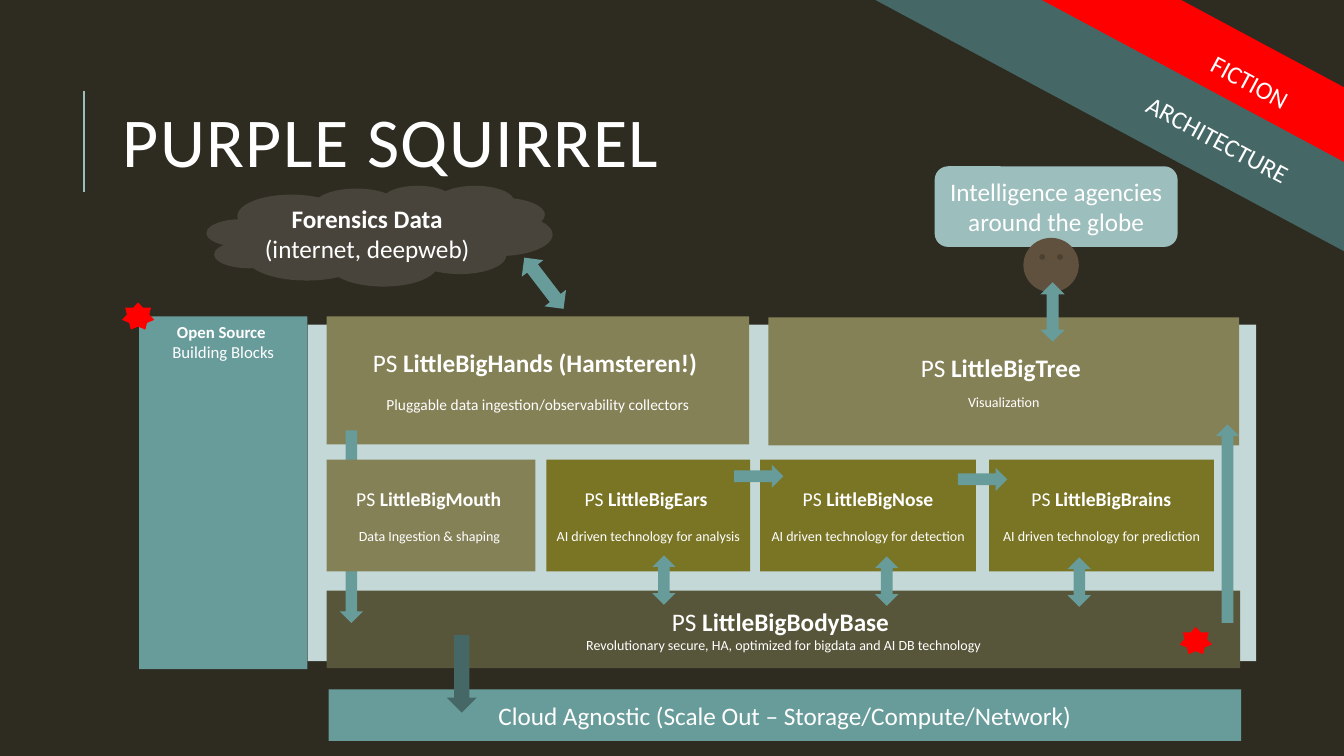
from pptx import Presentation
from pptx.dml.color import RGBColor
from pptx.enum.shapes import MSO_CONNECTOR, MSO_SHAPE
from pptx.enum.text import MSO_ANCHOR, PP_ALIGN
from pptx.oxml.ns import qn
from pptx.util import Inches, Pt
from lxml import etree

RECT = MSO_SHAPE.RECTANGLE
ROUNDED = MSO_SHAPE.ROUNDED_RECTANGLE
CLOUD = MSO_SHAPE.CLOUD
SMILEY = MSO_SHAPE.SMILEY_FACE
STAR = MSO_SHAPE.STAR_7_POINT
UP = MSO_SHAPE.UP_ARROW
DOWN = MSO_SHAPE.DOWN_ARROW
UP_DOWN = MSO_SHAPE.UP_DOWN_ARROW
STRAIGHT = MSO_CONNECTOR.STRAIGHT
CENTER = PP_ALIGN.CENTER
TOP, MIDDLE = MSO_ANCHOR.TOP, MSO_ANCHOR.MIDDLE

BACKGROUND = RGBColor(0x2E, 0x2B, 0x21)
WHITE = RGBColor(0xFF, 0xFF, 0xFF)
RED = RGBColor(0xFF, 0x00, 0x00)
PALE_TEAL = RGBColor(0xC4, 0xD8, 0xD7)
LIGHT_TEAL = RGBColor(0x9C, 0xBE, 0xBD)
TEAL = RGBColor(0x68, 0x9C, 0x9A)
DARK_TEAL = RGBColor(0x45, 0x68, 0x67)
KHAKI = RGBColor(0x85, 0x81, 0x57)
OLIVE = RGBColor(0x7A, 0x74, 0x25)
DARK_OLIVE = RGBColor(0x58, 0x56, 0x3A)
CLOUD_GREY = RGBColor(0x48, 0x44, 0x3B)
BROWN = RGBColor(0x5F, 0x51, 0x3E)
FONT = "Calibri"

ROW_TOP, ROW_HEIGHT = 4.56, 1.11
ARROW_WIDTH, ARROW_LENGTH = 0.23, 0.49


def add_run(paragraph, text, size, bold=False):
    """Append one white run to a paragraph."""
    run = paragraph.add_run()
    run.text = text
    run.font.name = FONT
    run.font.size = Pt(size)
    run.font.bold = bold
    run.font.color.rgb = WHITE
    return run


def add_block(slide, kind, box, color, rotation=0):
    """Add a flat filled shape without outline."""
    block = slide.shapes.add_shape(kind, *map(Inches, box))
    block.shadow.inherit = False
    block.fill.solid()
    block.fill.fore_color.rgb = color
    block.line.fill.background()
    block.rotation = rotation
    return block


def add_label(block, lines, gap=0, anchor=MIDDLE):
    """Write centred lines, each a list of (text, size, bold), into a block."""
    frame = block.text_frame
    frame.word_wrap = True
    frame.vertical_anchor = anchor
    for index, runs in enumerate(lines):
        paragraph = frame.add_paragraph() if index else frame.paragraphs[0]
        paragraph.alignment = CENTER
        if index:
            paragraph.space_before = Pt(gap)
        for text, size, bold in runs:
            add_run(paragraph, text, size, bold)


def add_component(slide, box, color, name, detail, name_size, detail_size, gap):
    """Add a PS product component with its name and description."""
    component = add_block(slide, RECT, box, color)
    add_label(component, [[("PS ", name_size, False), (name, name_size, True)],
                          [(detail, detail_size, False)]], gap)


def add_banner(slide, left, top, text, color):
    """Add a slanted corner banner."""
    banner = add_block(slide, RECT, (left, top, 7.3, 0.78), color, 28.2)
    add_label(banner, [[(text, 18, False)]])


def add_title(slide, text):
    """Add the title and the vertical rule beside it."""
    rule = slide.shapes.add_connector(
        STRAIGHT, Inches(0.83), Inches(1.9), Inches(0.83), Inches(0.9))
    rule.line.color.rgb = LIGHT_TEAL
    rule.line.width = Pt(1.5)
    etree.SubElement(rule._element.spPr, qn("a:effectLst"))
    title = slide.shapes.add_textbox(
        Inches(1.12), Inches(0.64), Inches(10.63), Inches(1.64))
    frame = title.text_frame
    frame.word_wrap = True
    frame.vertical_anchor = MIDDLE
    frame.paragraphs[0].line_spacing = 0.8
    run = add_run(frame.paragraphs[0], text, 50)
    run.font._element.set("spc", "100")


def add_surroundings(slide):
    """Add the agencies, data source, building blocks and cloud layers."""
    agencies = add_block(slide, ROUNDED, (9.27, 1.65, 2.41, 0.8), LIGHT_TEAL)
    add_label(agencies, [[("Intelligence agencies around the globe", 18, False)]])
    add_block(slide, RECT, (3.05, 3.22, 9.41, 3.34), PALE_TEAL)
    open_source = add_block(slide, RECT, (1.38, 3.14, 1.67, 3.5), TEAL)
    add_label(open_source, [[("Open Source ", 12, True)],
                            [("Building Blocks", 12, False)]], anchor=TOP)
    cloud_layer = add_block(slide, RECT, (3.26, 6.84, 9.05, 0.51), TEAL)
    add_label(cloud_layer, [
        [("Cloud Agnostic (Scale Out – Storage/Compute/Network)", 18, False)]])
    forensics = add_block(slide, CLOUD, (2.05, 1.84, 3.43, 1), CLOUD_GREY)
    add_label(forensics, [[("Forensics Data", 18, True)],
                          [("(internet, deepweb)", 18, False)]])


def add_components(slide):
    """Add the product components and the flow behind the middle row."""
    for box, color, name, detail, detail_size, gap in (
        ((3.24, 5.86, 9.06, 0.77), DARK_OLIVE, "LittleBigBodyBase ",
         "Revolutionary secure, HA, optimized for bigdata and AI DB technology",
         10, 0),
        ((3.24, 3.14, 4.19, 1.27), KHAKI, "LittleBigHands (Hamsteren!) ",
         "Pluggable data ingestion/observability collectors", 11, 13),
        ((7.62, 3.15, 4.67, 1.27), KHAKI, "LittleBigTree ",
         "Visualization", 10, 8),
    ):
        add_component(slide, box, color, name, detail, 18, detail_size, gap)
    add_block(slide, DOWN, (3.37, 4.27, ARROW_WIDTH, 1.91), TEAL)
    for left, width, color, name, detail in (
        (3.24, 2.07, KHAKI, "LittleBigMouth ", "Data Ingestion & shaping "),
        (5.42, 2.02, OLIVE, "LittleBigEars ", "AI driven technology for analysis"),
        (7.54, 2.14, OLIVE, "LittleBigNose", "AI driven technology for detection"),
        (9.81, 2.23, OLIVE, "LittleBigBrains",
         "AI driven technology for prediction"),
    ):
        add_component(slide, (left, ROW_TOP, width, ROW_HEIGHT), color,
                      name, detail, 14, 10, 12)


def add_flows(slide):
    """Add the arrows between components and the agency user."""
    for left, top in ((7.41, 4.48), (9.63, 4.51)):
        add_block(slide, UP, (left, top, ARROW_WIDTH, ARROW_LENGTH), TEAL, 90)
    for left, top in ((6.47, 5.51), (8.68, 5.52), (10.59, 5.53)):
        add_block(slide, UP_DOWN, (left, top, ARROW_WIDTH, ARROW_LENGTH), TEAL)
    add_block(slide, UP, (12.06, 4.21, ARROW_WIDTH, 1.97), TEAL)
    add_block(slide, SMILEY, (10.15, 2.36, 0.55, 0.54), BROWN)
    add_block(slide, UP_DOWN, (10.32, 2.8, 0.24, 0.59), TEAL)
    add_block(slide, UP_DOWN, (5.26, 2.49, 0.27, 0.64), TEAL, 322.5)
    add_block(slide, DOWN, (4.43, 6.3, 0.3, 0.77), DARK_TEAL)
    for left, top in ((1.21, 3), (11.7, 6.22)):
        add_block(slide, STAR, (left, top, 0.32, 0.27), RED)


def main():
    """Build the architecture slide."""
    deck = Presentation()
    deck.slide_width, deck.slide_height = Inches(13.33), Inches(7.5)
    slide = deck.slides.add_slide(deck.slide_layouts[6])
    slide.background.fill.solid()
    slide.background.fill.fore_color.rgb = BACKGROUND
    add_banner(slide, 8.75, 0.42, "FICTION", RED)
    add_title(slide, "PURPLE SQUIRREL")
    add_surroundings(slide)
    add_components(slide)
    add_flows(slide)
    add_banner(slide, 8.43, 0.99, "ARCHITECTURE", DARK_TEAL)
    deck.save("out.pptx")


if __name__ == "__main__":
    main()
